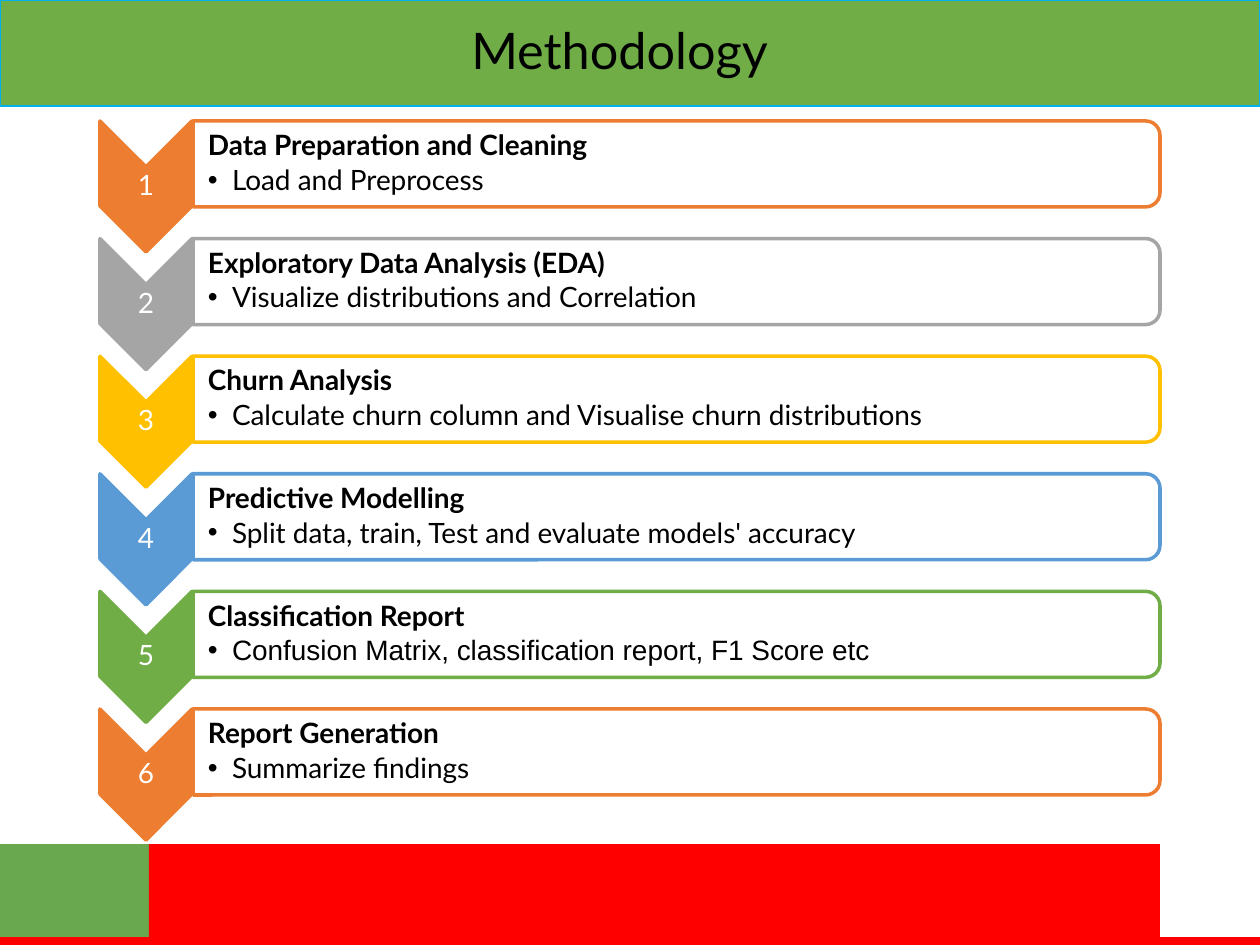
import pptx
import pptx.dml.color
import pptx.enum.shapes
import pptx.enum.text
import pptx.oxml.ns
import pptx.util
from lxml import etree

PX = 914400 / 126
SHAPE = pptx.enum.shapes.MSO_SHAPE
ALIGN = pptx.enum.text.PP_ALIGN
COLORS = {
    "black": "000000", "white": "FFFFFF", "orange": "ED7D31", "gray": "A5A5A5",
    "yellow": "FFC000", "blue": "5B9BD5", "green": "70AD47",
    "footer_green": "6AA84F", "red": "FF0000", "header_line": "00B0F0",
}
STEPS = [
    ("orange", "Data Preparation and Cleaning", "Load and Preprocess", "Lato"),
    ("gray", "Exploratory Data Analysis (EDA)",
     "Visualize distributions and Correlation", "Lato"),
    ("yellow", "Churn Analysis",
     "Calculate churn column and Visualise churn distributions", "Lato"),
    ("blue", "Predictive Modelling",
     "Split data, train, Test and evaluate models' accuracy", "Lato"),
    ("green", "Classification Report",
     "Confusion Matrix, classification report, F1 Score etc", "Arial"),
    ("orange", "Report Generation", "Summarize findings", "Lato"),
]


def px(n):
    return pptx.util.Emu(round(n * PX))


def rgb(name):
    return pptx.dml.color.RGBColor.from_string(COLORS[name])


def add_shape(s, kind, x, y, w, h, fill, line=None, line_pt=2, rotation=0):
    """Place a shape; the box is the one seen after a quarter turn, if any."""
    if rotation == 90:
        x, y, w, h = x + (w - h) / 2, y + (h - w) / 2, h, w
    sp = s.shapes.add_shape(kind, px(x), px(y), px(w), px(h))
    sp.shadow.inherit = False
    sp.rotation = rotation
    sp.fill.solid()
    sp.fill.fore_color.rgb = rgb(fill)
    if line:
        sp.line.color.rgb = rgb(line)
        sp.line.width = pptx.util.Pt(line_pt)
    else:
        sp.line.fill.background()
    return sp


def add_text_box(s, x, y, w, h, left_inset=1):
    tf = s.shapes.add_textbox(px(x), px(y), px(w), px(h)).text_frame
    tf.word_wrap = True
    tf.vertical_anchor = pptx.enum.text.MSO_ANCHOR.MIDDLE
    tf.margin_left = px(left_inset)
    tf.margin_top = tf.margin_right = tf.margin_bottom = px(1)
    return tf


def add_run(p, text, size, color="black", font="Lato", bold=False):
    r = p.add_run()
    r.text = text
    r.font.size = pptx.util.Pt(size)
    r.font.name = font
    r.font.bold = bold
    r.font.color.rgb = rgb(color)


def format_step_line(p, bullet=False):
    p.line_spacing = 0.9
    p.space_after = pptx.util.Pt(2.4)
    pPr = p._p.get_or_add_pPr()
    pPr.set("marL", str(px(24)))
    pPr.set("indent", str(-px(24)))
    if bullet:
        etree.SubElement(pPr, pptx.oxml.ns.qn("a:buFont"), typeface="Arial")
        etree.SubElement(pPr, pptx.oxml.ns.qn("a:buChar"), char="•")


def add_header(s, x, y, w, h):
    add_shape(s, SHAPE.RECTANGLE, x, y, w, h, "green", "header_line", 1)
    p = add_text_box(s, x + 63, y + 24, 1113, 50).paragraphs[0]
    p.alignment = ALIGN.CENTER
    add_run(p, "Methodology", 28.8)


def add_footer(s, x, y, w, h):
    strip = 8
    add_shape(s, SHAPE.RECTANGLE, x, y, 294, h - strip, "footer_green")
    add_shape(s, SHAPE.RECTANGLE, x + 149, y, 1011, h - strip, "red")
    add_shape(s, SHAPE.RECTANGLE, x, y + h - strip, w, strip, "red")


def add_step(s, x, y, w, h, number, color, heading, detail, font):
    """Draw a numbered chevron pointing down, with a card on its right."""
    chevron_w, card_h = 92, 86
    card_x, card_w = x + chevron_w + 1, w - chevron_w - 1
    add_shape(s, SHAPE.CHEVRON, x, y, chevron_w, h, color, color, rotation=90)
    p = add_text_box(s, x, y + 46, chevron_w, 39).paragraphs[0]
    p.alignment = ALIGN.CENTER
    p.line_spacing = 0.9
    add_run(p, str(number), 16, "white")

    card = add_shape(s, SHAPE.ROUND_2_SAME_RECTANGLE, card_x, y, card_w, card_h,
                     "white", color, rotation=90)
    fill_color = card.fill._xPr.find(".//" + pptx.oxml.ns.qn("a:srgbClr"))
    etree.SubElement(fill_color, pptx.oxml.ns.qn("a:alpha"), val="90000")
    tf = add_text_box(s, card_x, y + 4, card_w - 4, card_h - 8, 15)
    p = tf.paragraphs[0]
    format_step_line(p)
    add_run(p, heading, 16, bold=True)
    p = tf.add_paragraph()
    format_step_line(p, bullet=True)
    add_run(p, detail, 16, font=font)


def add_steps(s, x, y, w, h):
    step_h = 131
    pitch = (h - step_h) / (len(STEPS) - 1)
    for i, step in enumerate(STEPS):
        add_step(s, x, y + i * pitch, w, step_h, i + 1, *step)


def main():
    prs = pptx.Presentation()
    prs.slide_width, prs.slide_height = px(1260), px(945)
    s = prs.slides.add_slide(prs.slide_layouts[6])
    add_footer(s, 0, 844, 1260, 101)
    add_header(s, 0, 0, 1260, 106)
    add_steps(s, 100, 121, 1060, 719)
    prs.save("out.pptx")


if __name__ == "__main__":
    main()
